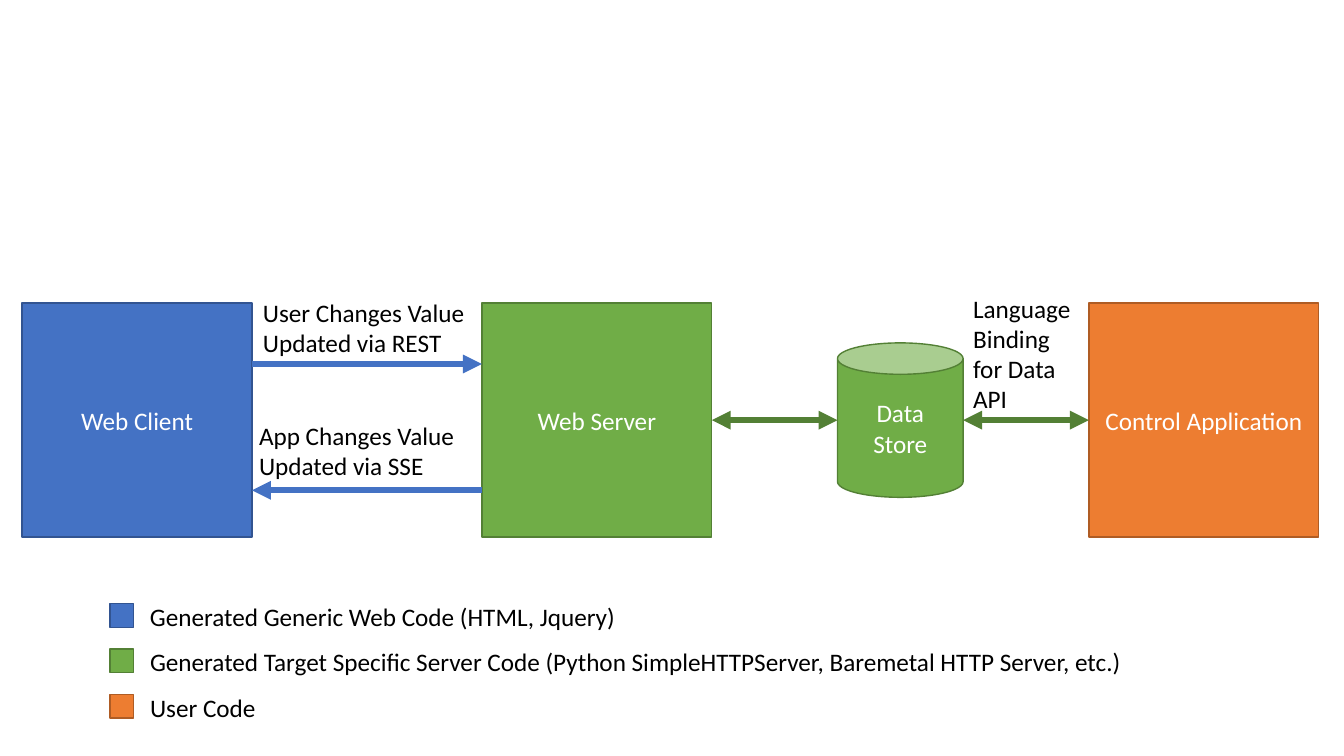
from dataclasses import dataclass

from pptx import Presentation
from pptx.dml.color import RGBColor
from pptx.enum.shapes import MSO_CONNECTOR as Connector, MSO_SHAPE as Shape
from pptx.enum.text import MSO_ANCHOR as Anchor, MSO_AUTO_SIZE as AutoSize, PP_ALIGN as Align
from pptx.oxml.ns import qn
from pptx.util import Inches, Pt
from lxml.etree import SubElement


@dataclass(frozen=True)
class Theme:
    """Colours as (fill, outline) pairs, and type and line sizes."""
    client: tuple = ("4472C4", "325491")
    server: tuple = ("70AD47", "538035")
    user: tuple = ("ED7D31", "AF5C24")
    dark: str = "000000"
    light: str = "FFFFFF"
    font: str = "Calibri"
    text_size: float = 18
    outline: float = 1
    arrow: float = 4.5


@dataclass(frozen=True)
class Box:
    """A rectangle whose inner areas are given in percent of its size."""
    left: float
    top: float
    width: float
    height: float

    def area(self, left, top, width, height):
        """Return the box at the given percentages."""
        return Box(*self.point(left, top), self.width * width / 100, self.height * height / 100)

    def point(self, across, down):
        """Return the point at the given percentages."""
        return self.left + self.width * across / 100, self.top + self.height * down / 100

    def place(self):
        """Return left, top, width and height as whole lengths."""
        return [Inches(length) for length in (self.left, self.top, self.width, self.height)]


THEME = Theme()
SLIDE = Box(0, 0, 13.33, 7.5)


def write(frame, text, color, align):
    """Put text in a frame and format its runs."""
    frame.word_wrap = True
    frame.text = text
    for para in frame.paragraphs:
        para.alignment = align
        for span in para.runs:
            span.font.name = THEME.font
            span.font.size = Pt(THEME.text_size)
            span.font.color.rgb = RGBColor.from_string(color)


def add_node(page, box, colors, text="", kind=Shape.RECTANGLE):
    """Add an outlined shape, with centred text if any."""
    node = page.shapes.add_shape(kind, *box.place())
    fill, outline = map(RGBColor.from_string, colors)
    node.shadow.inherit = False
    node.fill.solid()
    node.fill.fore_color.rgb = fill
    node.line.color.rgb = outline
    node.line.width = Pt(THEME.outline)
    if text:
        node.text_frame.vertical_anchor = Anchor.MIDDLE
        write(node.text_frame, text, THEME.light, Align.CENTER)


def add_label(page, box, text):
    """Add a left-aligned dark text box."""
    frame = page.shapes.add_textbox(*box.place()).text_frame
    write(frame, text, THEME.dark, Align.LEFT)
    frame.auto_size = AutoSize.SHAPE_TO_FIT_TEXT


def add_arrow(page, start, end, color, both_ways=False):
    """Add a thick straight arrow between two points."""
    ends = [Inches(length) for length in (*start, *end)]
    arrow = page.shapes.add_connector(Connector.STRAIGHT, *ends)
    arrow.line.color.rgb = RGBColor.from_string(color)
    arrow.line.width = Pt(THEME.arrow)
    properties = arrow._element.spPr
    outline = properties.find(qn("a:ln"))
    for tag in ("a:headEnd", "a:tailEnd") if both_ways else ("a:tailEnd",):
        SubElement(outline, qn(tag), type="triangle")
    SubElement(properties, qn("a:effectLst"))


def add_diagram(page, box):
    """Draw the data flow from the web client to the control application."""
    node_width = 17.73
    server_left = 2 * node_width
    server_right = 3 * node_width
    user_left = 100 - node_width
    step = (user_left - server_right) / 3
    store_left, store_right = server_right + step, user_left - step

    for left, colors, text in (
        (0, THEME.client, "Web Client"),
        (server_left, THEME.server, "Web Server"),
        (user_left, THEME.user, "Control Application"),
    ):
        add_node(page, box.area(left, 0, node_width, 100), colors, text)
    add_node(page, box.area(store_left, 17, step, 66), THEME.server, "Data Store", Shape.CAN)

    for start, end, down in ((node_width, server_left, 26), (server_left, node_width, 80)):
        add_arrow(page, box.point(start, down), box.point(end, down), THEME.client[0])
    for start, end in ((server_right, store_left), (store_right, user_left)):
        add_arrow(page, box.point(start, 50), box.point(end, 50), THEME.server[1], both_ways=True)

    for left, top, width, height, text in (
        (17.8, -4.8, 18, 30.6, "User Changes Value\vUpdated via REST"),
        (17.5, 47.8, 18, 30.6, "App Changes Value\vUpdated via SSE"),
        (store_right, -6.5, 9.25, 56.5, "Language Binding for Data API"),
    ):
        add_label(page, box.area(left, top, width, height), text)


def add_legend(page, box):
    """List what each colour stands for, one row per colour."""
    entries = (
        (THEME.client, 57, "Generated Generic Web Code (HTML, Jquery)"),
        (THEME.server, 97.1, "Generated Target Specific Server Code "
                             "(Python SimpleHTTPServer, Baremetal HTTP Server, etc.)"),
        (THEME.user, 38, "User Code"),
    )
    row_height = 100 / len(entries)
    for index, (colors, width, text) in enumerate(entries):
        row = box.area(0, index * row_height, 100, row_height)
        add_node(page, row.area(0, 16, 2.25, 52), colors)
        add_label(page, row.area(2.9, 0, width, 90), text)


def main():
    """Build the slide and save it."""
    deck = Presentation()
    deck.slide_width, deck.slide_height = Inches(SLIDE.width), Inches(SLIDE.height)
    page = deck.slides.add_slide(deck.slide_layouts[6])
    add_diagram(page, SLIDE.area(1.65, 40.1, 96.47, 30.95))
    add_legend(page, SLIDE.area(8.18, 78.9, 77.34, 18))
    deck.save("out.pptx")


main()
